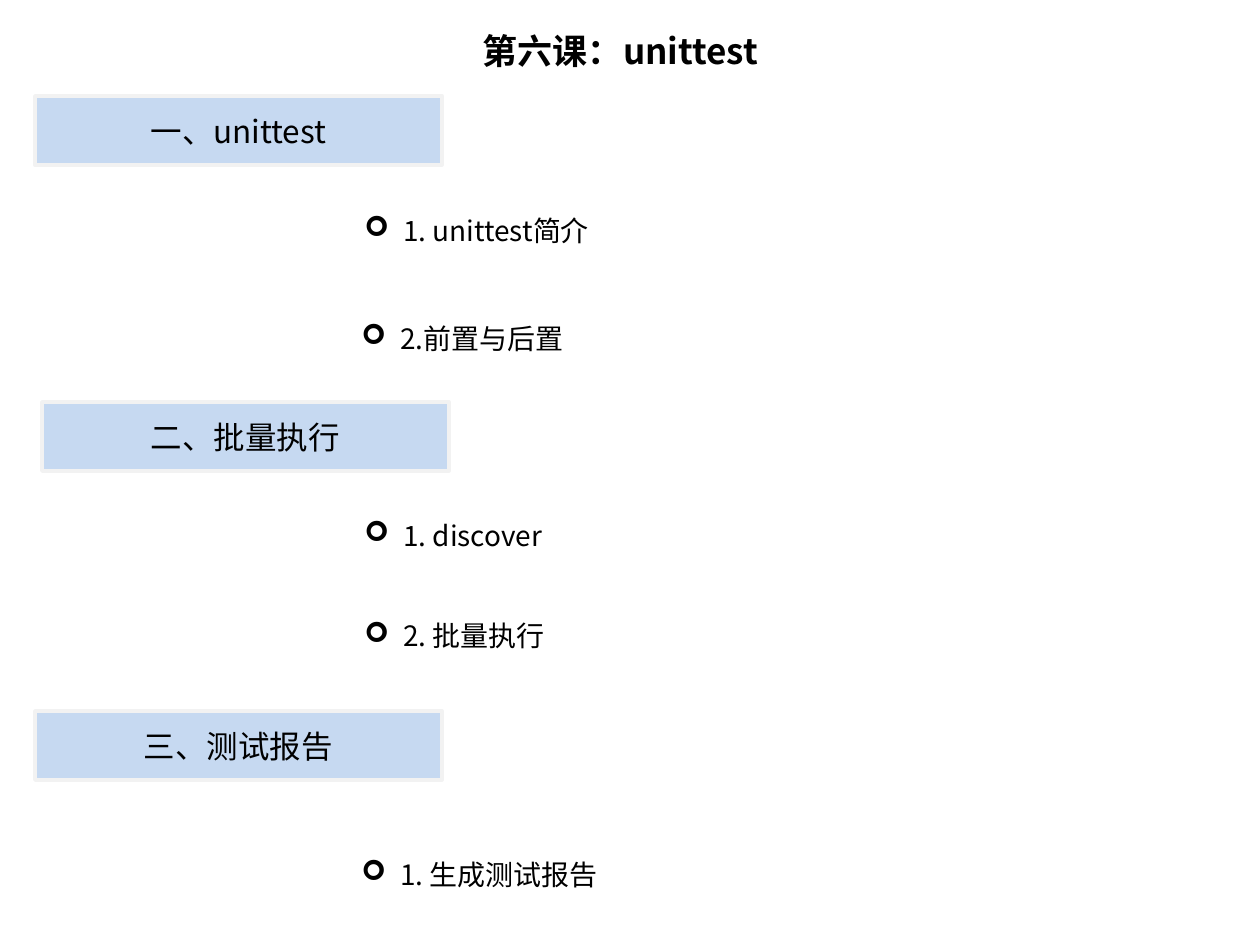
from lxml.etree import SubElement
from pptx import Presentation
from pptx.dml.color import RGBColor
from pptx.enum.shapes import MSO_SHAPE
from pptx.enum.text import MSO_ANCHOR, MSO_AUTO_SIZE, PP_ALIGN
from pptx.oxml.ns import qn
from pptx.util import Pt

PIXEL = 914400 // 126
FONT = "Noto Sans CJK SC"
COLORS = {"text": "000000", "heading": "C6D9F1", "border": "F2F2F2"}
TITLE = ("第六课：unittest", (44, 16, 1153, 69))
HEADING_SIZE = (407, 69)
HEADINGS = [
    ("一、unittest", (35, 96)),
    ("二、批量执行", (42, 402)),
    ("三、测试报告", (35, 711)),
]
LISTS = [
    (["1. unittest简介"], (352, 207, 495, 47)),
    (["2.前置与后置"], (349, 315, 417, 47)),
    (["1. discover", "2. 批量执行"], (352, 512, 495, 149)),
    (["1. 生成测试报告"], (349, 851, 495, 47)),
]
LINE_HEIGHT = 19.2
INDENT = 39


def emu(lengths):
    return [length * PIXEL for length in lengths]


def color(name):
    return RGBColor.from_string(COLORS[name])


def add_run(paragraph, text, size, bold=False):
    run = paragraph.add_run()
    run.text = text
    run.font.size = Pt(size)
    run.font.bold = bold
    run.font.name = FONT
    run.font.color.rgb = color("text")
    SubElement(run.font._element, qn("a:ea")).set("typeface", FONT)


def add_centered(shape, text, size, bold=False):
    frame = shape.text_frame
    frame.word_wrap = True
    frame.vertical_anchor = MSO_ANCHOR.MIDDLE
    paragraph = frame.paragraphs[0]
    paragraph.alignment = PP_ALIGN.CENTER
    add_run(paragraph, text, size, bold)


def add_bullet(paragraph):
    properties = paragraph._p.get_or_add_pPr()
    properties.set("marL", str(INDENT * PIXEL))
    properties.set("indent", str(-INDENT * PIXEL))
    SubElement(properties, qn("a:buFont")).set("typeface", "Wingdings")
    SubElement(properties, qn("a:buChar")).set("char", "➢")


presentation = Presentation()
presentation.slide_width, presentation.slide_height = emu((1260, 945))
slide = presentation.slides.add_slide(presentation.slide_layouts[5])

text, box = TITLE
title = slide.shapes.title
title.left, title.top, title.width, title.height = emu(box)
add_centered(title, text, 20, True)

for text, position in HEADINGS:
    heading = slide.shapes.add_shape(MSO_SHAPE.RECTANGLE, *emu(position + HEADING_SIZE))
    heading.shadow.inherit = False
    heading.fill.solid()
    heading.fill.fore_color.rgb = color("heading")
    heading.line.color.rgb = color("border")
    heading.line.width = Pt(2)
    add_centered(heading, text, 18)

for items, box in LISTS:
    frame = slide.shapes.add_textbox(*emu(box)).text_frame
    frame.word_wrap = True
    frame.auto_size = MSO_AUTO_SIZE.SHAPE_TO_FIT_TEXT
    for index, item in enumerate(items):
        paragraph = frame.add_paragraph() if index else frame.paragraphs[0]
        paragraph.line_spacing = Pt(LINE_HEIGHT)
        paragraph.space_before = Pt(2 * LINE_HEIGHT if index else 0)
        add_bullet(paragraph)
        add_run(paragraph, item, 16)

presentation.save("out.pptx")
